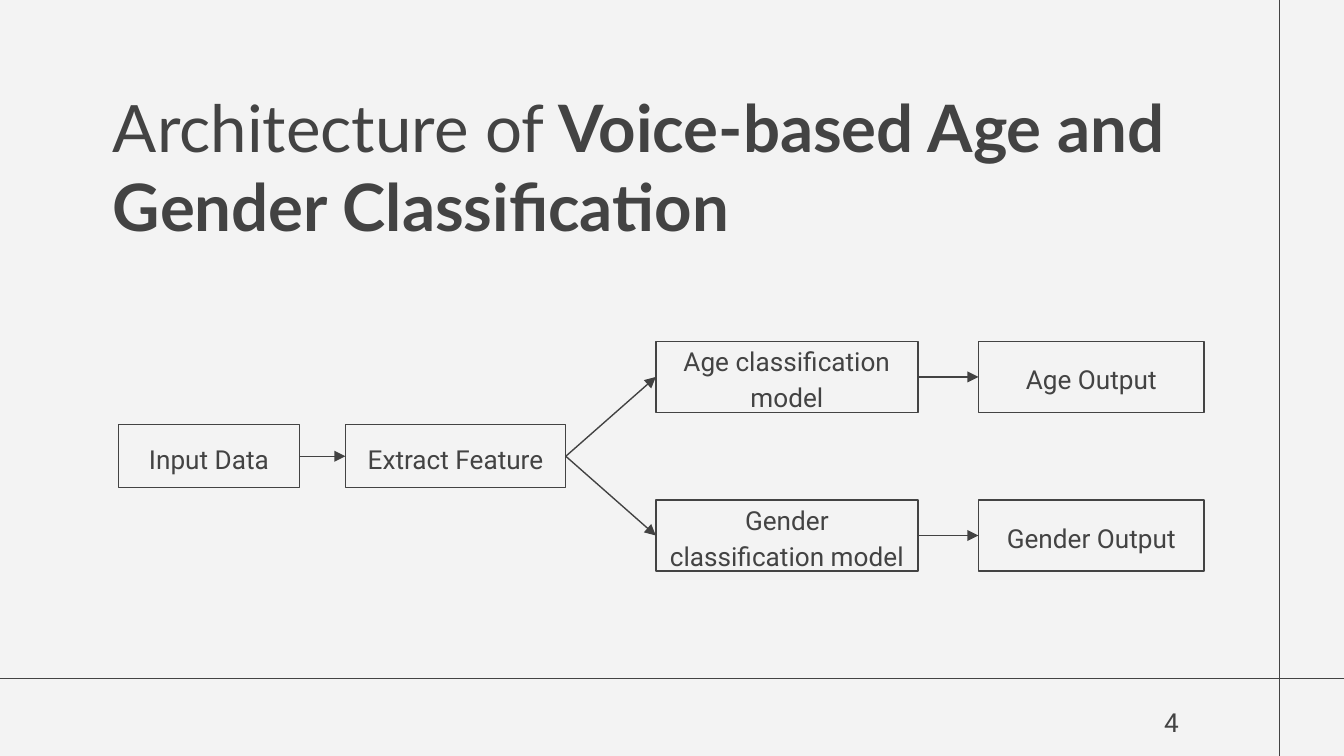
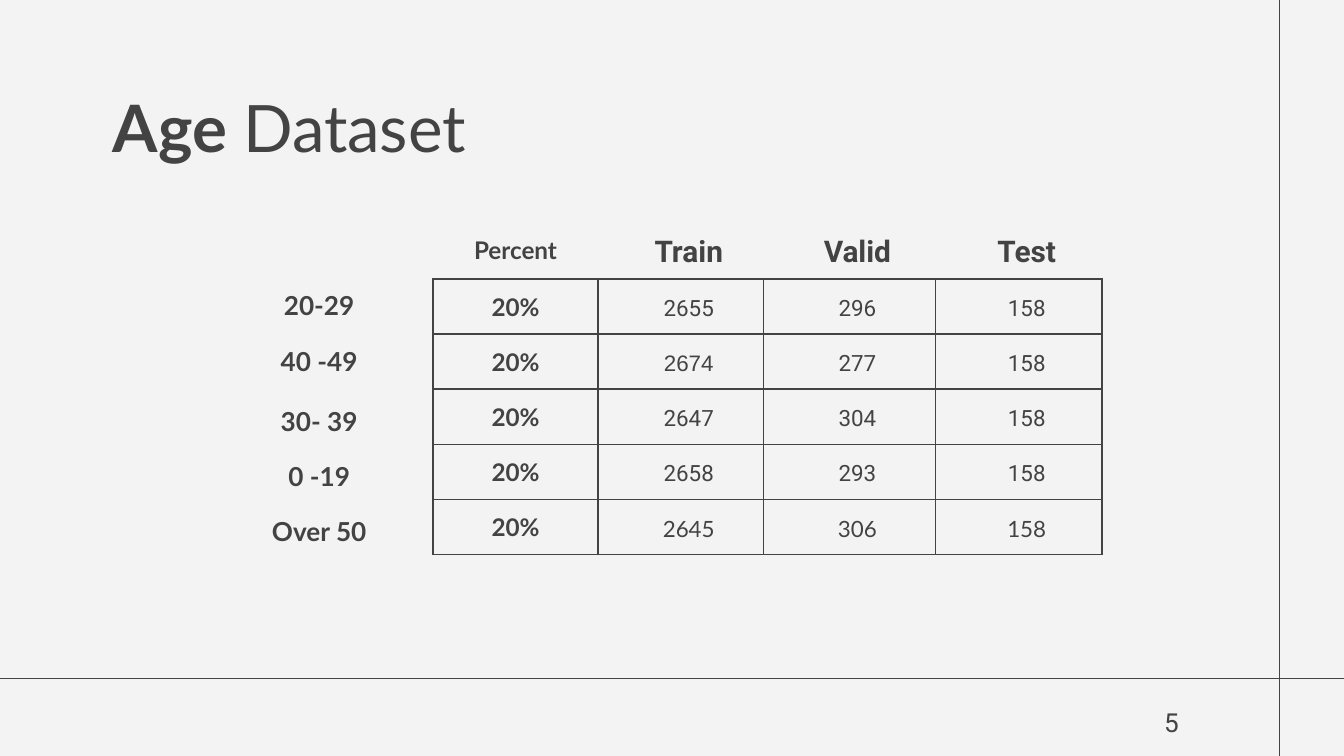
from lxml import etree
from pptx import Presentation
from pptx.dml.color import RGBColor
from pptx.enum.shapes import MSO_CONNECTOR, MSO_SHAPE
from pptx.enum.text import MSO_ANCHOR, MSO_AUTO_SIZE, PP_ALIGN
from pptx.oxml.ns import qn
from pptx.util import Inches, Pt

LEFT, CENTER, RIGHT = PP_ALIGN.LEFT, PP_ALIGN.CENTER, PP_ALIGN.RIGHT
TOP, MIDDLE, BOTTOM = MSO_ANCHOR.TOP, MSO_ANCHOR.MIDDLE, MSO_ANCHOR.BOTTOM
STRAIGHT, RECTANGLE = MSO_CONNECTOR.STRAIGHT, MSO_SHAPE.RECTANGLE
LEFT_SITE, RIGHT_SITE = 1, 3
TITLE_ONLY = 5

SLIDE_WIDTH = 10
SLIDE_HEIGHT = SLIDE_WIDTH * 9 / 16
INK, ARROW_INK, PAPER = "434343", "424242", "F3F3F3"
HEAD_FONT, BODY_FONT = "Lato", "Roboto"
PADDING = (0.1, 0.1, 0.1, 0.1)

AGE_GROUPS = ["20-29", "40 -49", "30- 39", "0 -19", "Over 50"]
HEADINGS = ["Percent", "Train", "Valid", "Test"]
# Train, valid and test counts with the font of each
COUNTS = [
    [("2655", BODY_FONT), ("296", BODY_FONT), ("158", BODY_FONT)],
    [("2674", "Arial"), ("277", BODY_FONT), ("158", BODY_FONT)],
    [("2647", BODY_FONT), ("304", BODY_FONT), ("158", BODY_FONT)],
    [("2658", BODY_FONT), ("293", BODY_FONT), ("158", BODY_FONT)],
    [("2645", HEAD_FONT), ("306", HEAD_FONT), ("158", HEAD_FONT)],
]


# Shared helpers
def color(hex_code):
    return RGBColor.from_string(hex_code)


def inches(*lengths):
    return [Inches(length) for length in lengths]


def add_run(paragraph, text, size, font=BODY_FONT, bold=False):
    run = paragraph.add_run()
    run.text = text
    run.font.size = Pt(size)
    run.font.name = font
    run.font.bold = bold
    run.font.color.rgb = color(INK)


def set_frame(frame, anchor, padding=PADDING):
    frame.word_wrap = True
    frame.auto_size = MSO_AUTO_SIZE.NONE
    frame.vertical_anchor = anchor
    (frame.margin_left, frame.margin_top,
     frame.margin_right, frame.margin_bottom) = inches(*padding)


def add_label(slide, box, text, align, anchor, padding=PADDING, **style):
    frame = slide.shapes.add_textbox(*inches(*box)).text_frame
    set_frame(frame, anchor, padding)
    paragraph = frame.paragraphs[0]
    paragraph.alignment = align
    add_run(paragraph, text, 14, **style)


def add_line(slide, start, end, ink=INK):
    line = slide.shapes.add_connector(STRAIGHT, *inches(*start, *end))
    line.line.color.rgb = color(ink)
    line.line.width = Pt(0.75)
    etree.SubElement(line._element.spPr, qn("a:effectLst"))
    return line


def add_slide(prs, number, title_runs, title_height):
    slide = prs.slides.add_slide(prs.slide_layouts[TITLE_ONLY])
    # Crossing rules
    add_line(slide, (-0.03, 5.05), (10.03, 5.05))
    add_line(slide, (9.52, 5.64), (9.52, -0.02))
    # Title
    title = slide.shapes.title
    title.left, title.top, title.width, title.height = inches(
        0.74, 0.55, 8.67, title_height)
    set_frame(title.text_frame, TOP)
    paragraph = title.text_frame.paragraphs[0]
    paragraph.alignment = LEFT
    for text, bold in title_runs:
        add_run(paragraph, text, 35, HEAD_FONT, bold)
    # Page number
    add_label(slide, (8.27, 5.16, 0.6, 0.43), str(number), RIGHT, TOP)
    return slide


# Architecture diagram
def add_step(slide, box, text):
    step = slide.shapes.add_shape(RECTANGLE, *inches(*box))
    step.shadow.inherit = False
    step.fill.background()
    step.line.color.rgb = color(INK)
    step.line.width = Pt(0.75)
    set_frame(step.text_frame, MIDDLE)
    paragraph = step.text_frame.paragraphs[0]
    paragraph.alignment = CENTER
    paragraph.line_spacing = 1.15
    add_run(paragraph, text, 14)
    return step


def add_arrow(slide, source, target):
    arrow = add_line(slide, (0, 0), (1, 1), ARROW_INK)
    arrow.begin_connect(source, RIGHT_SITE)
    arrow.end_connect(target, LEFT_SITE)
    etree.SubElement(arrow.line._get_or_add_ln(), qn("a:tailEnd"), type="triangle")


def add_pipeline(slide, left, top):
    shared_top = top + 0.62
    input_data = add_step(slide, (left, shared_top, 1.35, 0.47), "Input Data")
    features = add_step(slide, (left + 1.69, shared_top, 1.64, 0.47),
                        "Extract Feature")
    add_arrow(slide, input_data, features)
    for branch, target in enumerate(["Age", "Gender"]):
        branch_top = top + branch * 1.18
        model = add_step(slide, (left + 4, branch_top, 1.95, 0.53),
                         f"{target} classification model")
        output = add_step(slide, (left + 6.4, branch_top, 1.68, 0.53),
                          f"{target} Output")
        add_arrow(slide, features, model)
        add_arrow(slide, model, output)


# Dataset table
def set_borders(cell, visible_sides):
    properties = cell._tc.get_or_add_tcPr()
    for position, side in enumerate("LRTB"):
        border = etree.Element(qn(f"a:ln{side}"), w=str(Pt(1)))
        if side in visible_sides:
            fill = etree.SubElement(border, qn("a:solidFill"))
            etree.SubElement(fill, qn("a:srgbClr"), val=INK)
        else:
            etree.SubElement(border, qn("a:noFill"))
        properties.insert(position, border)


def fill_cell(cell, text, size, font, bold, is_percent, visible_sides):
    cell.fill.background()
    set_borders(cell, visible_sides)
    cell.vertical_anchor = MIDDLE
    cell.margin_left = Inches(0.1 if is_percent else 0.22)
    cell.margin_right = Inches(0.1)
    cell.margin_top = cell.margin_bottom = Inches(0.07)
    paragraph = cell.text_frame.paragraphs[0]
    paragraph.alignment = CENTER
    if not is_percent:
        paragraph.line_spacing = 1.15
    add_run(paragraph, text, size, font, bold)


def add_dataset_table(slide, left, top):
    widths = [1.23, 1.23, 1.28, 1.24]
    row_height = 0.41
    row_count = len(COUNTS) + 1
    table = slide.shapes.add_table(
        row_count, len(widths),
        *inches(left, top, sum(widths), row_height * row_count)).table
    table.first_row = table.horz_banding = False
    for column, width in zip(table.columns, widths):
        column.width = Inches(width)
    for row in table.rows:
        row.height = Inches(row_height)

    for column, heading in enumerate(HEADINGS):
        is_percent = column == 0
        size, font = (13, HEAD_FONT) if is_percent else (16, BODY_FONT)
        fill_cell(table.cell(0, column), heading, size, font, True, is_percent, "B")
    for row, counts in enumerate(COUNTS, 1):
        fill_cell(table.cell(row, 0), "20%", 13, HEAD_FONT, True, True, "LRTB")
        for column, (count, font) in enumerate(counts, 1):
            fill_cell(table.cell(row, column), count, 12, font, False, False, "LRTB")


def add_age_groups(slide, left, top):
    for row, group in enumerate(AGE_GROUPS):
        # The last three labels sit slightly lower
        label_top = top + row * 0.41 + (0.04 if row >= 2 else 0)
        add_label(slide, (left, label_top, 1.87, 0.58), group, CENTER, BOTTOM,
                  (0.1, 0.1, 0.1, 0.2), font=HEAD_FONT, bold=True)


def main():
    prs = Presentation()
    prs.slide_width, prs.slide_height = inches(SLIDE_WIDTH, SLIDE_HEIGHT)
    background = prs.slide_master.background.fill
    background.solid()
    background.fore_color.rgb = color(PAPER)

    architecture = add_slide(prs, 4, [
        ("Architecture of", False),
        (" Voice-based Age and Gender Classification", True)], 1.66)
    add_pipeline(architecture, 0.88, 2.54)

    dataset = add_slide(prs, 5, [("Age ", True), ("Dataset", False)], 0.53)
    add_dataset_table(dataset, 3.22, 1.64)
    add_age_groups(dataset, 1.44, 2.01)

    prs.save("out.pptx")


if __name__ == "__main__":
    main()
